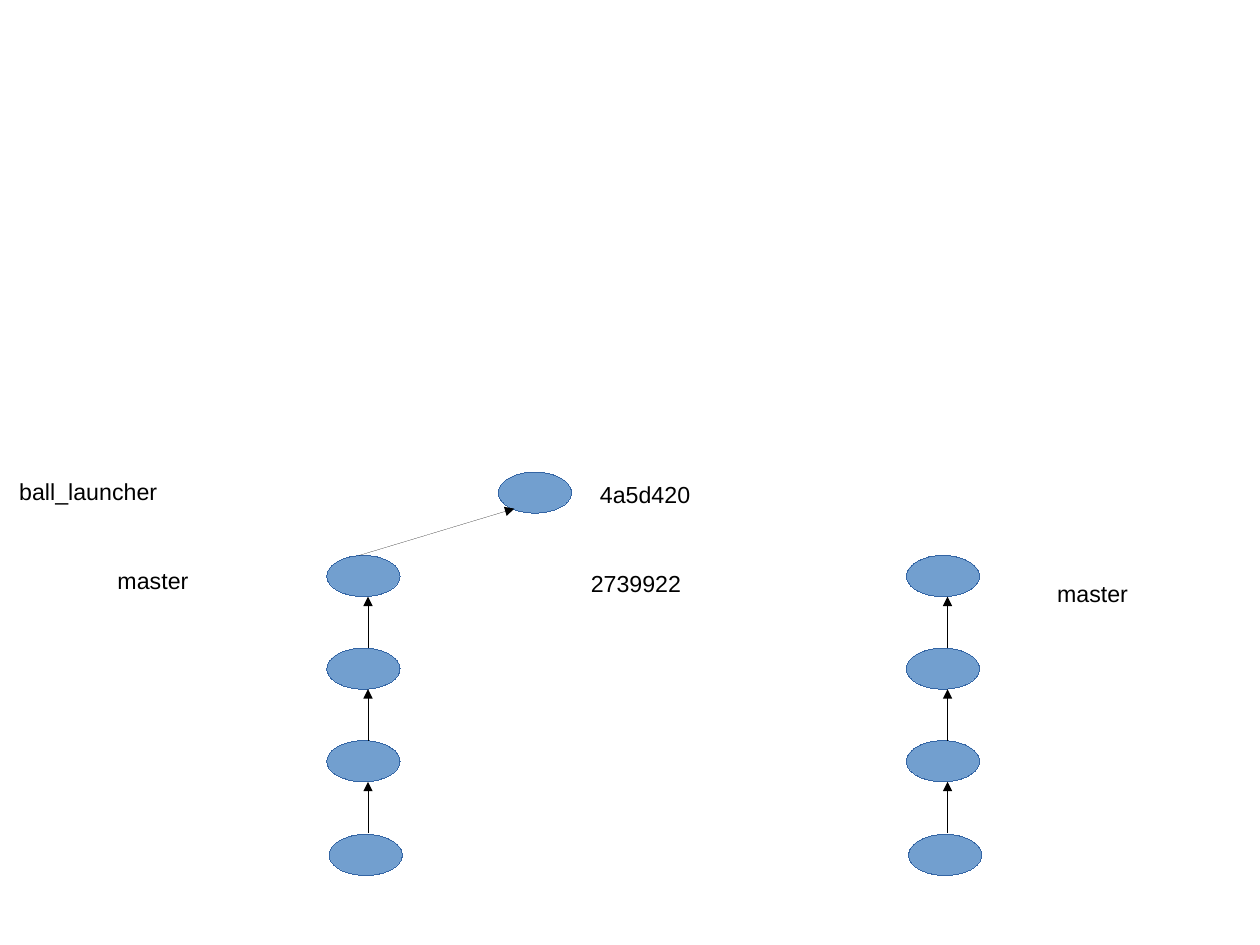
from pptx import Presentation
from pptx import util as u
from pptx.dml.color import RGBColor
from pptx.enum import shapes, text
from pptx.oxml import ns, xmlchemy

WIDE, HIGH = 0.64, 0.36  # size of a commit


def color(code):
    return RGBColor.from_string(code)


def inches(*sizes):
    return [u.Inches(size) for size in sizes]


def stroke(item, code):
    item.line.color.rgb = color(code)
    # Without a theme style the line keeps its default hairline width
    style = item._element.find(ns.qn("p:style"))
    item._element.remove(style)


def commit(slide, left, top):
    oval = slide.shapes.add_shape(
        shapes.MSO_SHAPE.OVAL, *inches(left, top, WIDE, HIGH))
    oval.shadow.inherit = False
    oval.fill.solid()
    oval.fill.fore_color.rgb = color("729FCF")
    stroke(oval, "3465A4")


def arrow(slide, start, end):
    link = slide.shapes.add_connector(
        shapes.MSO_CONNECTOR.STRAIGHT, *inches(*start, *end))
    stroke(link, "000000")
    tail = xmlchemy.OxmlElement("a:tailEnd")
    tail.set("type", "triangle")
    link._element.spPr.find(ns.qn("a:ln")).append(tail)
    link._element.spPr.append(xmlchemy.OxmlElement("a:effectLst"))


def label(slide, words, left, top, width):
    frame = slide.shapes.add_textbox(
        *inches(left, top, width, 0.32)).text_frame
    layout = {"word_wrap": True, "auto_size": text.MSO_AUTO_SIZE.NONE}
    for name, value in layout.items():
        setattr(frame, name, value)
    run = frame.paragraphs[0].add_run()
    run.text = words
    style = {"name": "Arial", "size": u.Pt(14.6)}
    for name, value in style.items():
        setattr(run.font, name, value)
    run.font.color.rgb = color("000000")


def branch(slide, left, top, count=4, step=0.81):
    """Stack commits from the newest down, each pointing up to the next."""
    for row in range(count - 1):
        commit(slide, left, top + row * step)
    commit(slide, left + 0.02, top + (count - 1) * step + 0.01)
    for row in range(1, count):
        foot = top + row * step
        arrow(slide, (left + 0.36, foot),
              (left + 0.36, foot - step + HIGH))


def feature(slide, left, top):
    """Add the commit that leaves the left branch."""
    commit(slide, left, top)
    arrow(slide, (left - 1.22, top + 0.73), (left + 0.14, top + 0.32))


def main():
    deck = Presentation()
    # The page is exactly 28 by 21 cm
    deck.slide_width, deck.slide_height = inches(28 / 2.54, 21 / 2.54)
    slide = deck.slides.add_slide(deck.slide_layouts[6])

    # Branches
    for left in (7.93, 2.86):
        branch(slide, left, 4.86)
    feature(slide, 4.36, 4.13)

    # Branch names and commit ids
    for words, left, top, width in (
        ("master", 9.15, 5.02, 1.64),
        ("master", 0.93, 4.91, 1.64),
        ("ball_launcher", 0.07, 4.13, 2.57),
        ("4a5d420", 5.15, 4.15, 1.79),
        ("2739922", 5.07, 4.93, 1.79),
    ):
        label(slide, words, left, top, width)

    deck.save("out.pptx")


if __name__ == "__main__":
    main()
